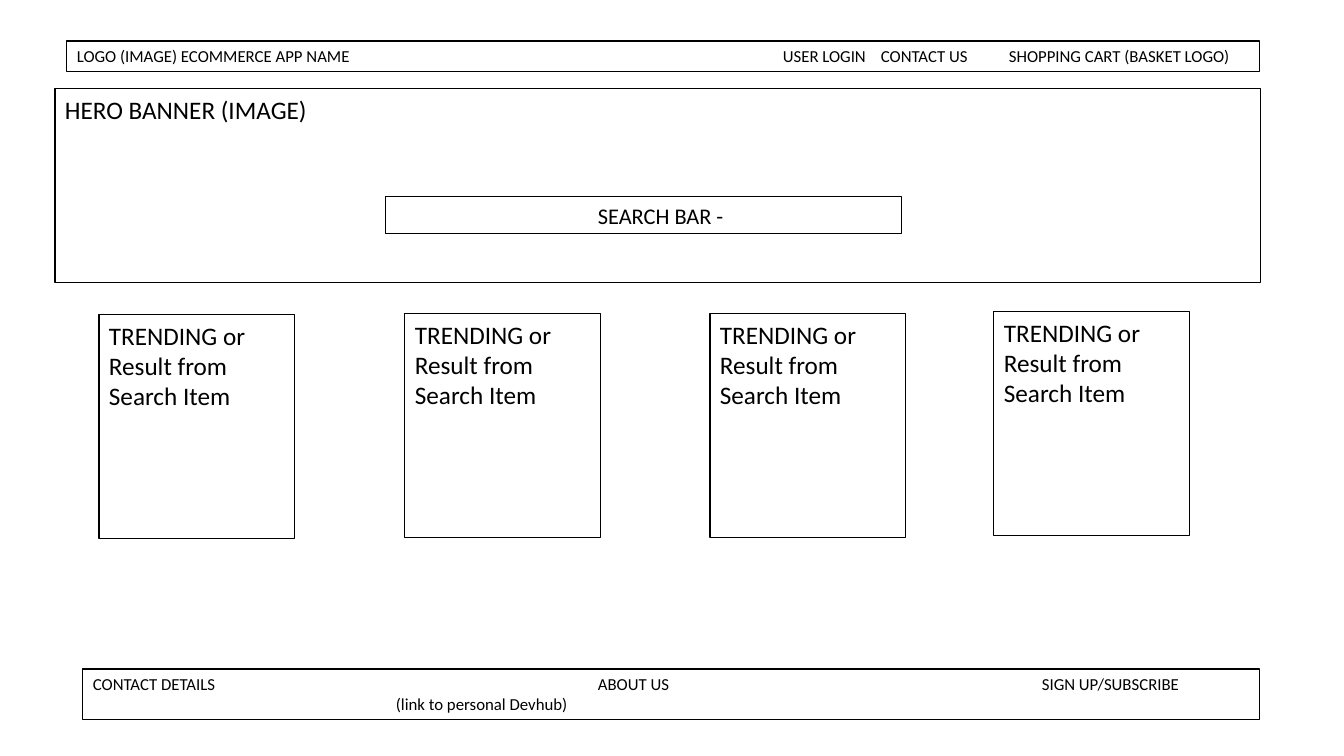
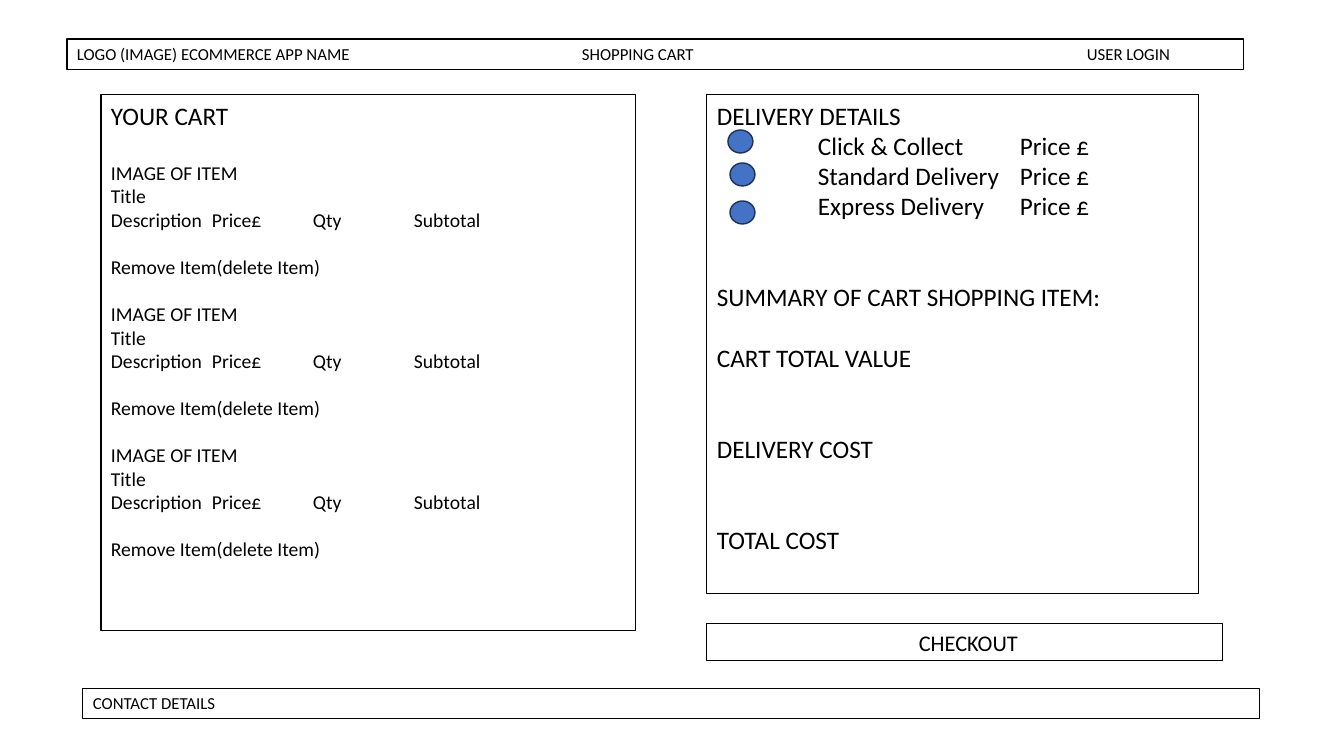
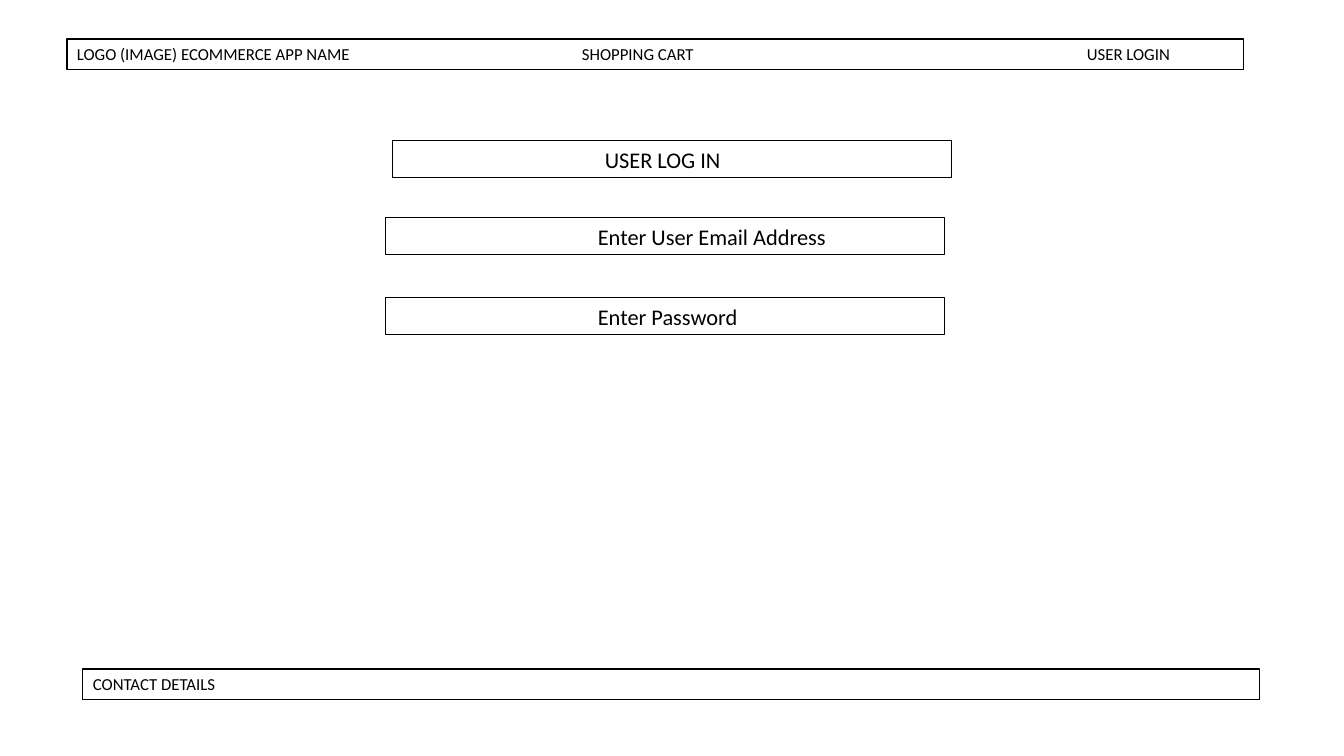
from pptx import Presentation
from pptx.dml.color import RGBColor
from pptx.enum.shapes import MSO_SHAPE
from pptx.oxml.ns import qn
from pptx.util import Emu, Pt
from lxml import etree

OVAL = MSO_SHAPE.OVAL
WIDE, HIGH = 1344, 756
UNIT = 12192000 / WIDE
FONT = "Calibri"
INK, DOT, RIM = "000000", "4472C4", "1E3256"
SMALL, BODY, MID, BIG = 12, 14, 16, 18
TAB = 101
ROW = {BODY: 16.8, BIG: 21.7}  # height of one line, in points


def px(n):
    return Emu(round(n * UNIT))


def tint(code):
    return RGBColor.from_string(code)


def write(frame, text, size=BIG, gap=0, stops=()):
    """Add a paragraph; gap is in lines, stops are px from the text edge."""
    para = frame.add_paragraph() if frame.text else frame.paragraphs[0]
    if stops:
        tabs = etree.SubElement(para._p.get_or_add_pPr(), qn("a:tabLst"))
        for stop in stops:
            etree.SubElement(tabs, qn("a:tab"), pos=str(px(stop)), algn="l")
    if gap:
        para.space_before = Pt(gap * ROW[size])
    run = para.add_run()
    run.text = text
    run.font.name = FONT
    run.font.size = Pt(size)
    run.font.color.rgb = tint(INK)


class Deck:
    def __init__(self):
        self.file = Presentation()
        self.file.slide_width, self.file.slide_height = px(WIDE), px(HIGH)
        self.page = None

    def next(self):
        self.page = self.file.slides.add_slide(self.file.slide_layouts[6])

    def box(self, x, y, w, h, text, **style):
        """Draw an outlined box and return its text frame."""
        shape = self.page.shapes.add_textbox(px(x), px(y), px(w), px(h))
        shape.line.color.rgb = tint(INK)
        shape.line.width = Pt(0.75)
        frame = shape.text_frame
        frame.word_wrap = True
        write(frame, text, **style)
        return frame

    def head(self, text, y=39, w=1177, stops=(5 * TAB, 10 * TAB)):
        self.box(67, y, w, 31, text, size=SMALL, stops=stops)

    def foot(self, text, y=669, h=31, stops=()):
        return self.box(83, y, 1177, h, text, size=SMALL, stops=stops)

    def field(self, x, y, w, text):
        self.box(x, y, w, 37, "\t" + text, size=MID, stops=[2 * TAB])

    def dot(self, x, y):
        shape = self.page.shapes.add_shape(OVAL, px(x), px(y), px(25), px(23))
        shape.shadow.inherit = False
        shape.fill.solid()
        shape.fill.fore_color.rgb = tint(DOT)
        shape.line.color.rgb = tint(RIM)
        shape.line.width = Pt(1)


BRAND = "LOGO (IMAGE) ECOMMERCE APP NAME"
MENU = BRAND + "\tSHOPPING CART\tUSER LOGIN"


def home(deck):
    deck.next()
    deck.head(BRAND + "\tUSER LOGIN\tCONTACT US\tSHOPPING CART (BASKET LOGO)",
              y=41, w=1193, stops=(706, 804, 932))
    deck.box(55, 89, 1206, 194, "HERO BANNER (IMAGE)")
    deck.field(386, 197, 516, "SEARCH BAR -")
    for x, y in ((99, 315), (405, 314), (710, 314), (994, 312)):
        deck.box(x, y, 196, 224, "TRENDING or Result from Search Item")
    frame = deck.foot("CONTACT DETAILS\tABOUT US\tSIGN UP/SUBSCRIBE",
                      h=51, stops=(5 * TAB, 949))
    write(frame, "\t(link to personal Devhub)", size=SMALL, stops=[3 * TAB])


def cart(deck):
    deck.next()
    deck.head(MENU)
    goods = deck.box(101, 95, 535, 536, "YOUR CART")
    for item in range(3):
        # The first gap follows the larger heading
        write(goods, "IMAGE OF ITEM", size=BODY, gap=1 if item else 1.3)
        write(goods, "Title", size=BODY)
        write(goods, "Description\tPrice£\tQty\tSubtotal", size=BODY,
              stops=(TAB, 2 * TAB, 3 * TAB))
        write(goods, "Remove Item(delete Item)", size=BODY, gap=1)

    order = deck.box(707, 95, 492, 499, "DELIVERY DETAILS")
    for way in ("Click & Collect", "Standard Delivery", "Express Delivery"):
        write(order, f"\t{way}\tPrice £", stops=(TAB, 3 * TAB))
    for text, gap in (("SUMMARY OF CART SHOPPING ITEM:", 2),
                      ("CART TOTAL VALUE", 1),
                      ("DELIVERY COST", 2),
                      ("TOTAL COST", 2)):
        write(order, text, gap=gap)
    for x, y in ((728, 130), (730, 163), (730, 201)):
        deck.dot(x, y)
    deck.field(707, 624, 516, "CHECKOUT")
    deck.foot("CONTACT DETAILS", y=688)


def login(deck):
    deck.next()
    deck.head(MENU)
    for x, y, text in ((393, 141, "USER LOG IN"),
                       (386, 218, "Enter User Email Address"),
                       (386, 298, "Enter Password")):
        deck.field(x, y, 559, text)
    deck.foot("CONTACT DETAILS")


def main():
    deck = Deck()
    home(deck)
    cart(deck)
    login(deck)
    deck.file.save("out.pptx")


if __name__ == "__main__":
    main()
